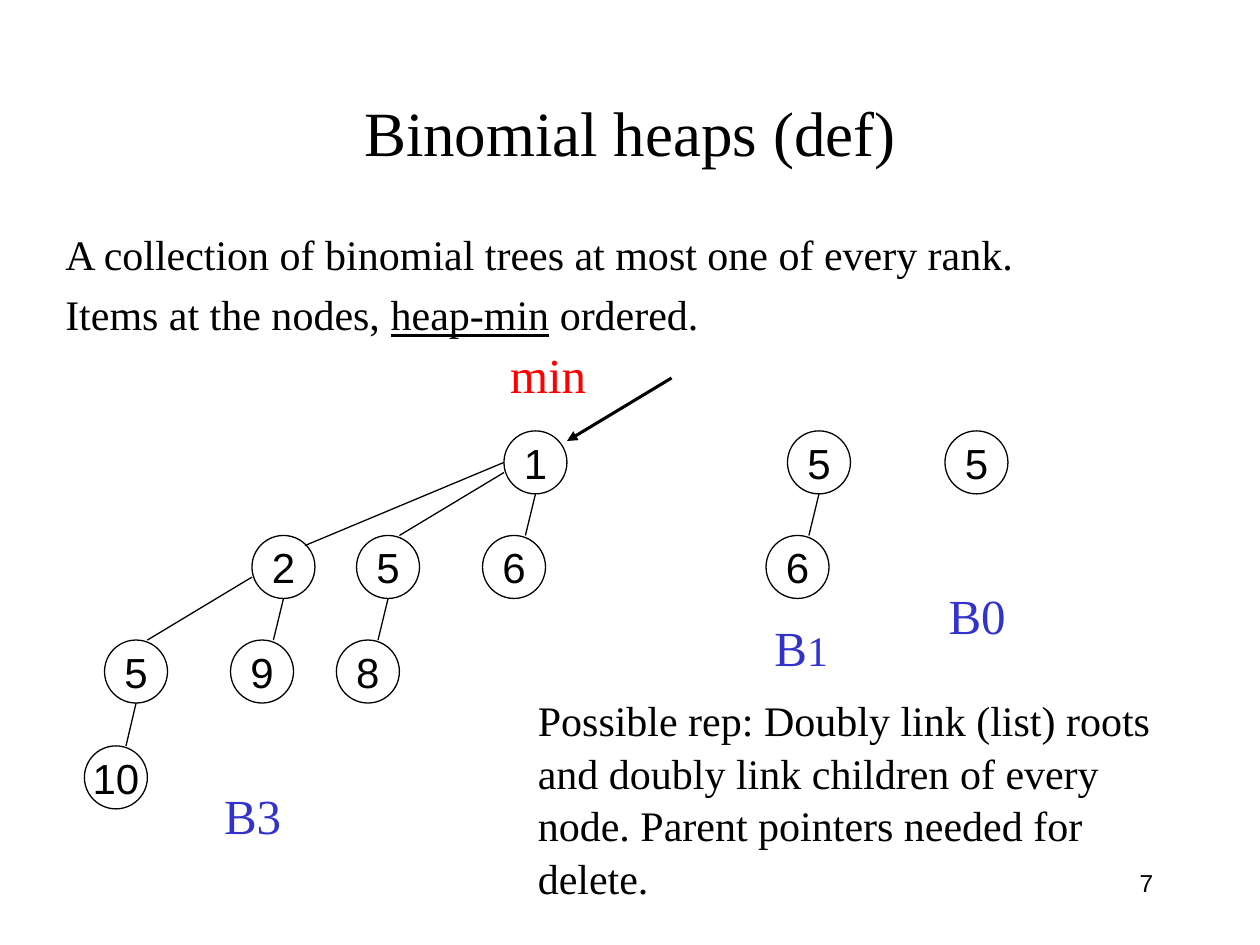
from lxml.etree import SubElement
from pptx import Presentation
from pptx.dml.color import RGBColor
from pptx.enum.shapes import MSO_CONNECTOR, MSO_SHAPE
from pptx.enum.text import MSO_ANCHOR, PP_ALIGN
from pptx.oxml.ns import qn
from pptx.util import Inches, Pt

BLACK = RGBColor(0x00, 0x00, 0x00)
BLUE = RGBColor(0x33, 0x33, 0xCC)
RED = RGBColor(0xFF, 0x00, 0x00)
FONT = "Times New Roman"
DIGIT_FONT = "Arial"
NODE_SIZE = 0.5
LEVEL_TOPS = [3.42, 4.25, 5.08, 5.92]


def write_runs(paragraph, runs, alignment, right_to_left=False):
    """Fill a paragraph with (text, format values) runs."""
    paragraph.alignment = alignment
    if right_to_left:
        paragraph._p.get_or_add_pPr().set("rtl", "1")
    for text, values in runs:
        run = paragraph.add_run()
        run.text = text
        run.font.color.rgb = values.get("color", BLACK)
        font_values = {"name": FONT, "size": Pt(values.get("size", 24)),
                       "underline": values.get("underline")}
        for name, value in font_values.items():
            setattr(run.font, name, value)
        if right_to_left:
            # Digits in right-to-left text take the complex-script font.
            SubElement(run.font._element, qn("a:cs"), typeface=DIGIT_FONT)


def add_line(start, end, width=0.75):
    line = slide.shapes.add_connector(
        MSO_CONNECTOR.STRAIGHT, *[Inches(value) for value in start + end])
    line.line.color.rgb = BLACK
    line.line.width = Pt(width)
    SubElement(line._element.spPr, qn("a:effectLst"))
    return line


presentation = Presentation()
presentation.slide_width = Inches(10)
presentation.slide_height = Inches(7.5)
slide = presentation.slides.add_slide(presentation.slide_layouts[5])

# Title
title = slide.shapes.title
title_place = {"left": 0.75, "top": 0.42, "width": 8.5, "height": 1.25}
for name, value in title_place.items():
    setattr(title, name, Inches(value))
title.text_frame.vertical_anchor = MSO_ANCHOR.MIDDLE
write_runs(title.text_frame.paragraphs[0],
           [("Binomial heaps (def)", {"size": 36})], PP_ALIGN.CENTER)

# Trees: (label, left, level, whether a last child hangs straight below)
nodes = [
    ("5", 7.5, 0, False),
    ("5", 6.25, 0, True), ("6", 6.08, 1, False),
    ("1", 4, 0, True), ("6", 3.83, 1, False),
    ("5", 2.83, 1, True), ("8", 2.67, 2, False),
    ("2", 2, 1, True), ("9", 1.83, 2, False),
    ("5", 0.83, 2, True), ("10", 0.67, 3, False),
]
for label, left, level, has_last_child in nodes:
    top = LEVEL_TOPS[level]
    node = slide.shapes.add_shape(
        MSO_SHAPE.OVAL, Inches(left), Inches(top),
        Inches(NODE_SIZE), Inches(NODE_SIZE))
    node.shadow.inherit = False
    node.fill.background()
    node.line.color.rgb = BLACK
    node.line.width = Pt(0.75)
    node.text_frame.word_wrap = False
    node.text_frame.vertical_anchor = MSO_ANCHOR.MIDDLE
    write_runs(node.text_frame.paragraphs[0], [(label, {})],
               PP_ALIGN.CENTER, right_to_left=True)
    if has_last_child:
        add_line((left + 0.25, top + NODE_SIZE),
                 (left + 0.17, LEVEL_TOPS[level + 1]))

# Links to the earlier children
for start, end in [((4, 3.75), (3.17, 4.25)),
                   ((2, 4.58), (1.17, 5.08)),
                   ((4, 3.67), (2.42, 4.33))]:
    add_line(start, end)

# Pointer to the minimum
pointer = add_line((5.33, 3), (4.5, 3.5), width=1.75)
SubElement(pointer.line._get_or_add_ln(), qn("a:tailEnd"), type="triangle")

# Text boxes: (left, top, width, height), alignment, paragraphs of runs
texts = [
    ((0.42, 1.75, 9.17, 0.97), PP_ALIGN.LEFT, [
        [("A collection of binomial trees at most one of every rank.", {})],
        [("Items at the nodes, ", {}), ("heap-min", {"underline": True}),
         (" ordered.", {})]]),
    ((4.17, 5.45, 5.08, 1.7), PP_ALIGN.LEFT, [
        [("Possible rep: Doubly link (list) roots and doubly link children "
          "of every node. Parent pointers needed for delete.", {})]]),
    ((7.33, 4.58, 0.75, 0.57), PP_ALIGN.RIGHT,
     [[("B0", {"size": 28, "color": BLUE})]]),
    ((5.92, 4.83, 0.75, 0.57), PP_ALIGN.RIGHT,
     [[("B", {"size": 28, "color": BLUE}), ("1", {"color": BLUE})]]),
    ((3.42, 2.67, 1.33, 0.57), PP_ALIGN.RIGHT,
     [[("min", {"size": 28, "color": RED})]]),
    ((1.58, 6.17, 0.75, 0.57), PP_ALIGN.RIGHT,
     [[("B3", {"size": 28, "color": BLUE})]]),
    ((7.17, 6.83, 2.08, 0.5), PP_ALIGN.RIGHT, [[("7", {"size": 14})]]),
]
for place, alignment, paragraphs in texts:
    box = slide.shapes.add_textbox(*[Inches(value) for value in place])
    frame = box.text_frame
    frame.word_wrap = True
    for index, runs in enumerate(paragraphs):
        paragraph = frame.add_paragraph() if index else frame.paragraphs[0]
        paragraph.line_spacing = 1.04
        if index:
            paragraph.space_before = Pt(4.5)
        is_number = runs[0][0].isdigit()
        write_runs(paragraph, runs, alignment, right_to_left=is_number)

presentation.save("out.pptx")
